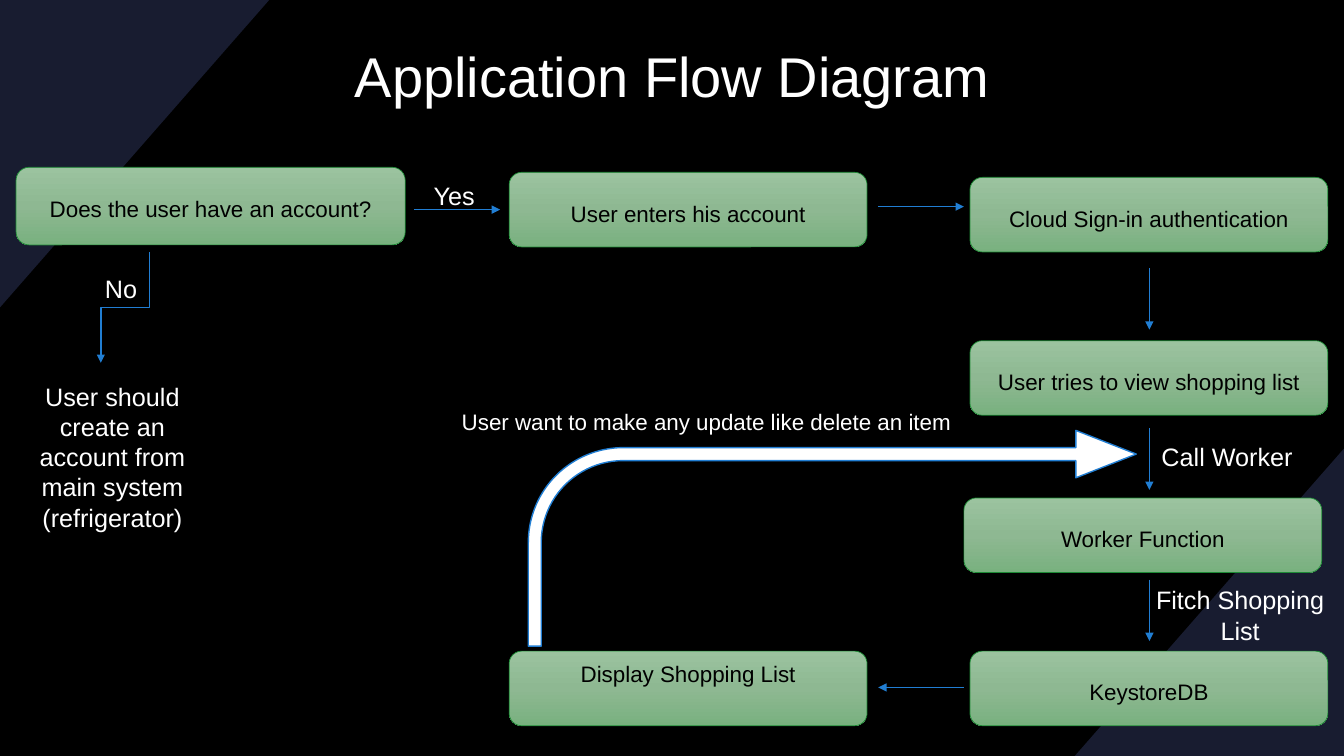
from copy import deepcopy

from pptx import Presentation
from pptx.dml.color import RGBColor
from pptx.enum.shapes import MSO_CONNECTOR, MSO_SHAPE
from pptx.enum.text import MSO_ANCHOR, MSO_AUTO_SIZE, PP_ALIGN
from pptx.oxml.ns import qn
from pptx.oxml.xmlchemy import OxmlElement
from pptx.util import Inches, Pt

BLACK = RGBColor(0x00, 0x00, 0x00)
WHITE = RGBColor(0xFF, 0xFF, 0xFF)
NAVY = RGBColor(0x18, 0x1C, 0x30)
BLUE = RGBColor(0x21, 0x7E, 0xD3)
GREEN = RGBColor(0x1D, 0x8B, 0x35)
STEP_GRADIENT = (
    (0, RGBColor(0x9B, 0xC3, 0x9F)),
    (0.5, RGBColor(0x8E, 0xB8, 0x92)),
    (1, RGBColor(0x79, 0xB1, 0x7F)),
)
FONT = "Arial"
LEFT, CENTER = PP_ALIGN.LEFT, PP_ALIGN.CENTER
TOP, MIDDLE = MSO_ANCHOR.TOP, MSO_ANCHOR.MIDDLE
GROW = MSO_AUTO_SIZE.SHAPE_TO_FIT_TEXT
STRAIGHT, ELBOW = MSO_CONNECTOR.STRAIGHT, MSO_CONNECTOR.ELBOW
ROUNDED, BENT_ARROW = MSO_SHAPE.ROUNDED_RECTANGLE, MSO_SHAPE.BENT_ARROW

SLIDE_WIDTH, SLIDE_HEIGHT = 13.33, 7.5
STEP_WIDTH, STEP_HEIGHT = 3.55, 0.74
MIDDLE_COLUMN, RIGHT_COLUMN = 5.05, 9.62
DOWN_ARROW_X = 11.4


class FlowSlide:
    def __init__(self, presentation):
        self.slide = presentation.slides.add_slide(presentation.slide_layouts[5])
        self.shapes = self.slide.shapes
        background = self.slide.background.fill
        background.solid()
        background.fore_color.rgb = BLACK

    def set_text(self, shape, text, size, color, align=CENTER, anchor=TOP, spacing=None):
        frame = shape.text_frame
        frame.text = text
        frame.word_wrap = True
        frame.vertical_anchor = anchor
        frame.margin_left = frame.margin_right = Inches(0.05)
        frame.margin_top = frame.margin_bottom = Inches(0.05)
        paragraph = frame.paragraphs[0]
        paragraph.alignment = align
        if spacing:
            paragraph.line_spacing = spacing
        font = paragraph.runs[0].font
        font.name = FONT
        font.size = Pt(size)
        font.color.rgb = color

    def title(self, text, left, top, width, height):
        title = self.shapes.title
        title.left, title.top = Inches(left), Inches(top)
        title.width, title.height = Inches(width), Inches(height)
        self.set_text(title, text, 40, WHITE, anchor=MIDDLE)

    def corner(self, points):
        start, *rest = [(Inches(x), Inches(y)) for x, y in points]
        builder = self.shapes.build_freeform(*start)
        builder.add_line_segments(rest, close=True)
        triangle = builder.convert_to_shape()
        triangle.shadow.inherit = False
        triangle.fill.solid()
        triangle.fill.fore_color.rgb = NAVY
        triangle.line.fill.background()

    def step(self, text, left, top, width=STEP_WIDTH, height=STEP_HEIGHT, spacing=1.7):
        box = self.shapes.add_shape(
            ROUNDED, Inches(left), Inches(top), Inches(width), Inches(height))
        box.shadow.inherit = False
        box.fill.gradient()
        box.fill.gradient_angle = 270
        stop_list = box._element.spPr.find(qn("a:gradFill")).find(qn("a:gsLst"))
        stop_list.insert(1, deepcopy(stop_list[0]))
        for stop, (position, color) in zip(box.fill.gradient_stops, STEP_GRADIENT):
            stop.position = position
            stop.color.rgb = color
        box.line.color.rgb = GREEN
        box.line.width = Pt(0.5)
        self.set_text(box, text, 16, BLACK, spacing=spacing)

    def label(self, text, left, top, width, height, size=18, align=LEFT):
        box = self.shapes.add_textbox(
            Inches(left), Inches(top), Inches(width), Inches(height))
        self.set_text(box, text, size, WHITE, align)
        box.text_frame.auto_size = GROW

    def arrow(self, start, end, kind=STRAIGHT, quarter_turns=0):
        connector = self.shapes.add_connector(
            kind, *[Inches(value) for value in (*start, *end)])
        connector.line.color.rgb = BLUE
        connector.line.width = Pt(1)
        properties = connector._element.spPr
        if quarter_turns:
            properties.find(qn("a:xfrm")).set("rot", str(quarter_turns * 5400000))
        head = OxmlElement("a:tailEnd")
        head.set("type", "triangle")
        properties.find(qn("a:ln")).append(head)
        properties.append(OxmlElement("a:effectLst"))

    def bent_arrow(self, left, top, width, height, adjustments):
        arrow = self.shapes.add_shape(
            BENT_ARROW, Inches(left), Inches(top), Inches(width), Inches(height))
        arrow.shadow.inherit = False
        for index, value in enumerate(adjustments):
            arrow.adjustments[index] = value
        arrow.fill.solid()
        arrow.fill.fore_color.rgb = WHITE
        arrow.line.color.rgb = BLUE
        arrow.line.width = Pt(1)


def main():
    presentation = Presentation()
    presentation.slide_width = Inches(SLIDE_WIDTH)
    presentation.slide_height = Inches(SLIDE_HEIGHT)
    flow = FlowSlide(presentation)

    flow.corner([(SLIDE_WIDTH, 4.45), (SLIDE_WIDTH, SLIDE_HEIGHT), (10.66, SLIDE_HEIGHT)])
    flow.corner([(0, 3.05), (0, 0), (2.67, 0)])
    flow.title("Application Flow Diagram", 1.25, 0, 10.83, 1.49)

    flow.step("Does the user have an account?", 0.16, 1.66, 3.86, 0.77)
    for text, left, top in (
        ("User enters his account", MIDDLE_COLUMN, 1.71),
        ("Cloud Sign-in authentication", RIGHT_COLUMN, 1.76),
        ("User tries to view shopping list", RIGHT_COLUMN, 3.38),
        ("Worker Function", 9.56, 4.94),
        ("KeystoreDB", RIGHT_COLUMN, 6.46),
    ):
        flow.step(text, left, top)
    flow.step("Display Shopping List", MIDDLE_COLUMN, 6.46, spacing=None)

    for start, end in (
        ((4.11, 2.08), (4.96, 2.08)),
        ((8.71, 2.05), (9.56, 2.05)),
        ((9.56, 6.82), (8.71, 6.82)),
    ):
        flow.arrow(start, end)
    for top in (2.66, 4.25, 5.75):
        flow.arrow((DOWN_ARROW_X, top), (DOWN_ARROW_X, top + 0.61))
    flow.arrow((0.69, 2.81), (1.79, 3.29), ELBOW, quarter_turns=1)
    flow.bent_arrow(5.24, 4.27, 6.03, 2.14, (0.06, 0.11, 0.28, 0.44))

    flow.label("Yes", 4.25, 1.74, 0.74, 0.4)
    flow.label("No", 0.99, 2.66, 0.74, 0.4)
    flow.label("Call Worker", 11.47, 4.33, 1.66, 0.4)
    flow.label("Fitch Shopping List", 11.27, 5.75, 2.06, 0.71, align=CENTER)
    flow.label("User should create an account from main system (refrigerator)",
               0.16, 3.73, 1.91, 1.62, align=CENTER)
    flow.label("User want to make any update like delete an item",
               4.53, 4, 5.93, 0.37, size=16)

    presentation.save("out.pptx")


if __name__ == "__main__":
    main()
